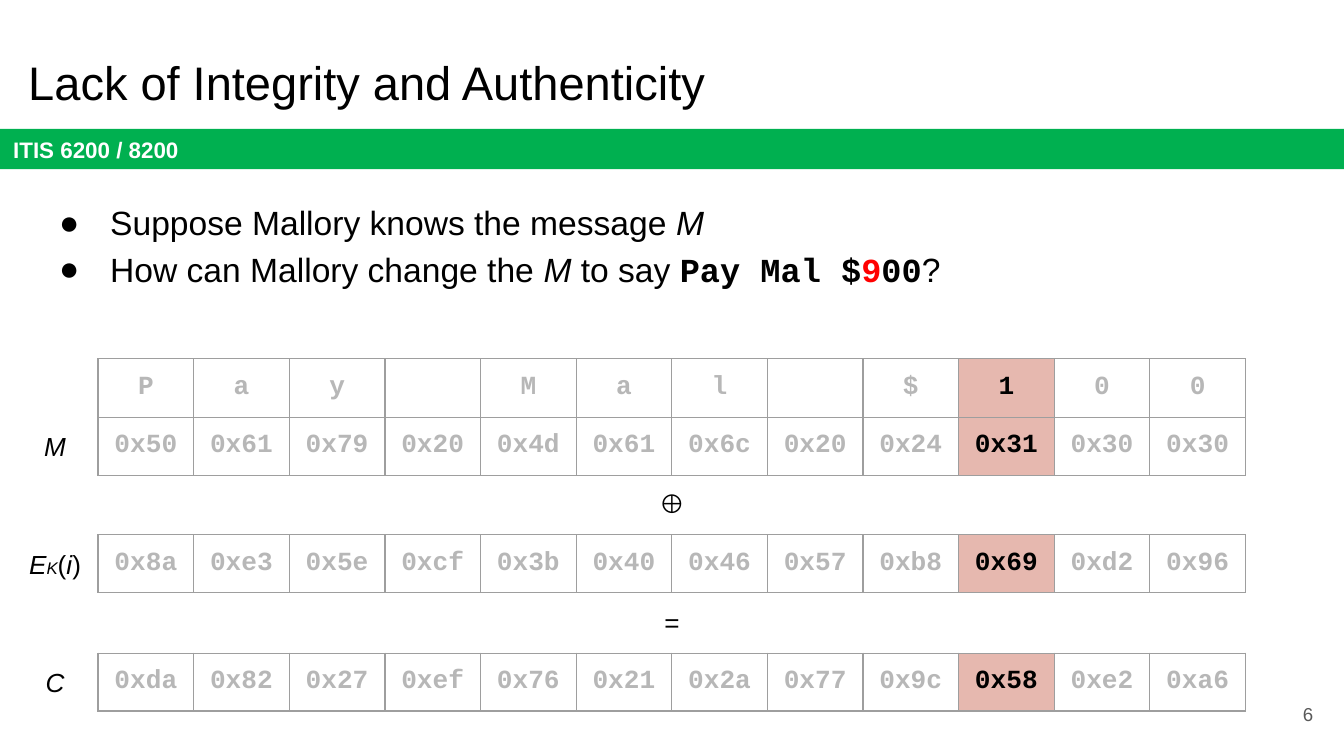
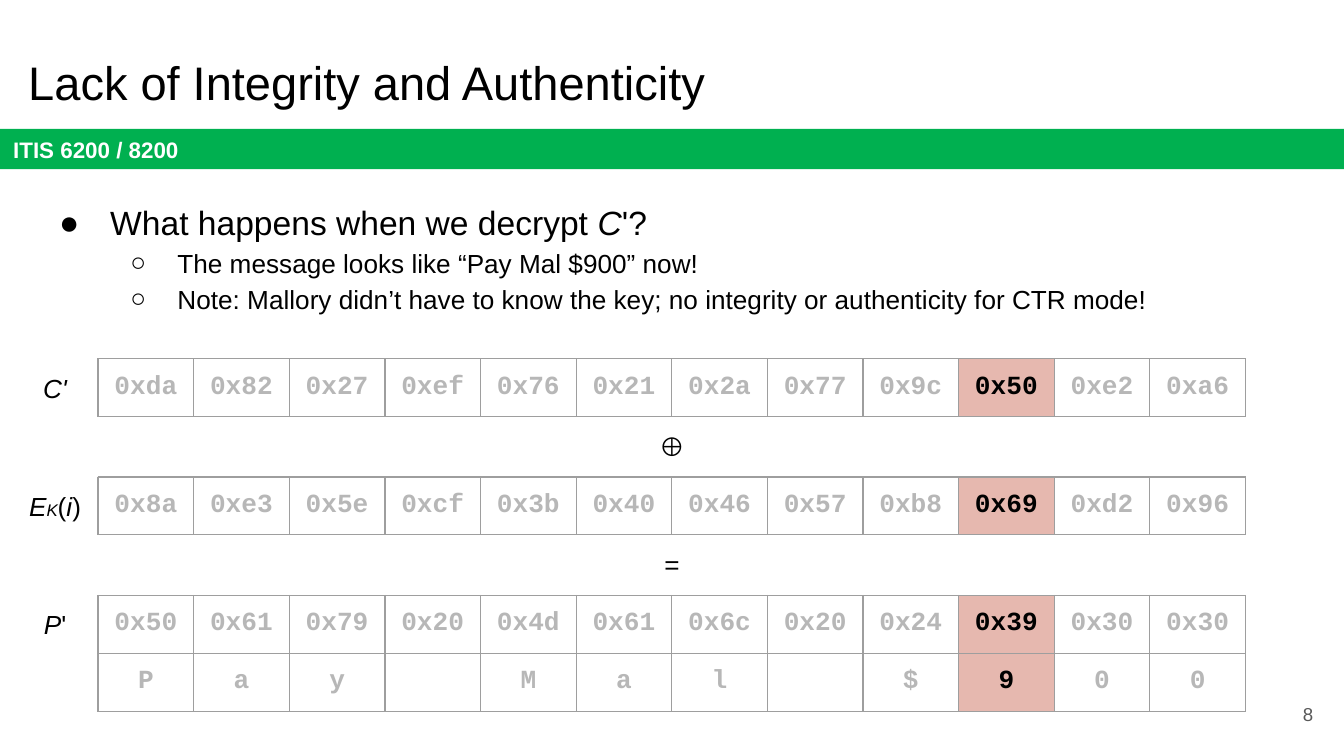
from lxml import etree
from pptx import Presentation
from pptx.dml.color import RGBColor
from pptx.enum.shapes import MSO_SHAPE
from pptx.enum.text import MSO_ANCHOR, MSO_AUTO_SIZE, PP_ALIGN
from pptx.oxml.ns import qn
from pptx.util import Inches, Pt

RECT = MSO_SHAPE.RECTANGLE
TOP, MIDDLE = MSO_ANCHOR.TOP, MSO_ANCHOR.MIDDLE
LEFT, CENTER, RIGHT = PP_ALIGN.LEFT, PP_ALIGN.CENTER, PP_ALIGN.RIGHT
FIXED = MSO_AUTO_SIZE.NONE

BLACK = RGBColor(0, 0, 0)
WHITE = RGBColor(255, 255, 255)
GREEN = RGBColor(0, 176, 80)
RED = RGBColor(255, 0, 0)
FADED = RGBColor(183, 183, 183)
PINK = RGBColor(230, 184, 175)
SLATE = RGBColor(89, 89, 89)
RULE = "9E9E9E"
SANS, MONO = "Arial", "Courier New"

COURSE = "ITIS 6200 / 8200"
TITLE = "Lack of Integrity and Authenticity"

PAY = "0x50 0x61 0x79 0x20 0x4d 0x61 0x6c 0x20 0x24 {} 0x30 0x30"
KEY = "0x8a 0xe3 0x5e 0xcf 0x3b 0x40 0x46 0x57 0xb8 0x69 0xd2 0x96".split()
CODE = "0xda 0x82 0x27 0xef 0x76 0x21 0x2a 0x77 0x9c {} 0xe2 0xa6"
PAD = [("E", "i"), ("K", "is"), ("(", ""), ("i", "i"), (")", "")]

SLIDES = [
    {
        "page": "6",
        "points": [
            (0, [("Suppose Mallory knows the message ", ""), ("M", "i")]),
            (0, [("How can Mallory change the ", ""), ("M", "i"), (" to say ", ""),
                 ("Pay Mal $", "m"), ("9", "mr"), ("00", "m"), ("?", "")]),
        ],
        "steps": [
            (1, [("M", "i")], [list("Pay Mal $100"), PAY.format("0x31").split()]),
            "⊕",
            (0, PAD, [KEY]),
            "=",
            (0, [("C", "i")], [CODE.format("0x58").split()]),
        ],
    },
    {
        "page": "8",
        "points": [
            (0, [("What happens when we decrypt ", ""), ("C", "i"), ("'?", "")]),
            (1, [("The message looks like “Pay Mal $900” now!", "")]),
            (1, [("Note: Mallory didn’t have to know the key; "
                  "no integrity or authenticity for CTR mode!", "")]),
        ],
        "steps": [
            (0, [("C'", "i")], [CODE.format("0x50").split()]),
            "⊕",
            (0, PAD, [KEY]),
            "=",
            (0, [("P", "i"), ("'", "")],
             [PAY.format("0x39").split(), list("Pay Mal $900")]),
        ],
    },
]

WIDE = 10
HIGH = WIDE * 9 / 16
GRID_X, GRID_Y, GRID_W = 0.73, 2.67, 8.54
ROW, GAP = 0.43, 0.45
SIGN_W, SIGN_H, SIGN_X, TAG_X = 0.6, 0.44, 4.7, 0.11
HOT = 9
LEVELS = [("●", 18, 0.5, -0.38), ("○", 14, 1, -0.35)]


def add_run(para, text, size, color=BLACK, style=""):
    run = para.add_run()
    run.text = text
    font = run.font
    font.size = Pt(9 if "s" in style else size)
    font.name = MONO if "m" in style else SANS
    font.bold = "m" in style or "b" in style
    font.italic = "i" in style
    font.color.rgb = RED if "r" in style else color


def place(shape, x, y, w, h):
    shape.left, shape.top = Inches(x), Inches(y)
    shape.width, shape.height = Inches(w), Inches(h)


def set_frame(shape, anchor=TOP):
    frame = shape.text_frame
    frame.word_wrap = True
    frame.auto_size = FIXED
    frame.vertical_anchor = anchor
    frame.margin_left = frame.margin_right = Inches(0.1)
    frame.margin_top = frame.margin_bottom = Inches(0.1)
    return frame


def add_box(slide, box, runs, size=14, color=BLACK, align=CENTER, anchor=TOP):
    shape = slide.shapes.add_textbox(*map(Inches, box))
    para = set_frame(shape, anchor).paragraphs[0]
    para.alignment = align
    for text, style in runs:
        add_run(para, text, size, color, style)


def add_band(slide):
    band = slide.shapes.add_shape(RECT, *map(Inches, (0, 0.96, WIDE, 0.3)))
    band.shadow.inherit = False
    band.fill.solid()
    band.fill.fore_color.rgb = GREEN
    band.line.fill.background()
    para = set_frame(band, MIDDLE).paragraphs[0]
    para.alignment = LEFT
    add_run(para, COURSE, 12, WHITE, "b")


def add_title(slide):
    title = slide.shapes.title
    place(title, 0.11, 0.3, 9.32, 0.63)
    para = set_frame(title).paragraphs[0]
    para.alignment = LEFT
    add_run(para, TITLE, 25.2)


def add_points(slide, points):
    body = slide.placeholders[1]
    place(body, 0.22, 1.36, 9.32, 1.83)
    frame = set_frame(body)
    for n, (level, runs) in enumerate(points):
        para = frame.add_paragraph() if n else frame.paragraphs[0]
        mark, size, left, hang = LEVELS[level]
        para.level = level
        props = para._p.get_or_add_pPr()
        props.set("marL", str(Inches(left)))
        props.set("indent", str(Inches(hang)))
        tint = etree.SubElement(props, qn("a:buClr"))
        etree.SubElement(tint, qn("a:srgbClr"), val=str(BLACK))
        etree.SubElement(props, qn("a:buChar"), char=mark)
        para.line_spacing = 1.15
        para.space_before = Pt(0)
        for text, style in runs:
            add_run(para, text, size, BLACK, style)


def fill_cell(cell, text, hot):
    cell.margin_top = cell.margin_bottom = Inches(0.1)
    cell.margin_left = cell.margin_right = Inches(0.1)
    props = cell._tc.get_or_add_tcPr()
    for side in ("lnL", "lnR", "lnT", "lnB"):
        line = etree.SubElement(props, qn("a:" + side), w=str(Pt(0.75)))
        solid = etree.SubElement(line, qn("a:solidFill"))
        etree.SubElement(solid, qn("a:srgbClr"), val=RULE)
    if hot:
        cell.fill.solid()
        cell.fill.fore_color.rgb = PINK
    else:
        cell.fill.background()
    para = cell.text_frame.paragraphs[0]
    para.alignment = CENTER
    if text.strip():
        add_run(para, text, 14, BLACK if hot else FADED, "m")
    else:
        etree.SubElement(para._p, qn("a:endParaRPr"), sz="1400")


def add_bytes(slide, y, rows):
    count = len(rows[0])
    box = (GRID_X, y, GRID_W, ROW * len(rows))
    table = slide.shapes.add_table(len(rows), count, *map(Inches, box)).table
    table.first_row = table.horz_banding = False
    for col in table.columns:
        col.width = Inches(GRID_W / count)
    for r, row in enumerate(rows):
        table.rows[r].height = Inches(ROW)
        for c, text in enumerate(row):
            fill_cell(table.cell(r, c), text, c == HOT)


def add_steps(slide, steps):
    y = GRID_Y
    for step in steps:
        if isinstance(step, str):
            add_box(slide, (SIGN_X, y, SIGN_W, SIGN_H), [(step, "")])
            y += GAP
        else:
            at, tag, rows = step
            add_bytes(slide, y, rows)
            add_box(slide, (TAG_X, y + at * ROW, SIGN_W, SIGN_H), tag)
            y += ROW * len(rows)


def main():
    deck = Presentation()
    deck.slide_width, deck.slide_height = Inches(WIDE), Inches(HIGH)
    for data in SLIDES:
        slide = deck.slides.add_slide(deck.slide_layouts[1])
        add_band(slide)
        add_title(slide)
        add_points(slide, data["points"])
        add_box(slide, (9.27, 5.1, 0.6, 0.43), [(data["page"], "")],
                10, SLATE, RIGHT, MIDDLE)
        add_steps(slide, data["steps"])
    deck.save("out.pptx")


if __name__ == "__main__":
    main()
